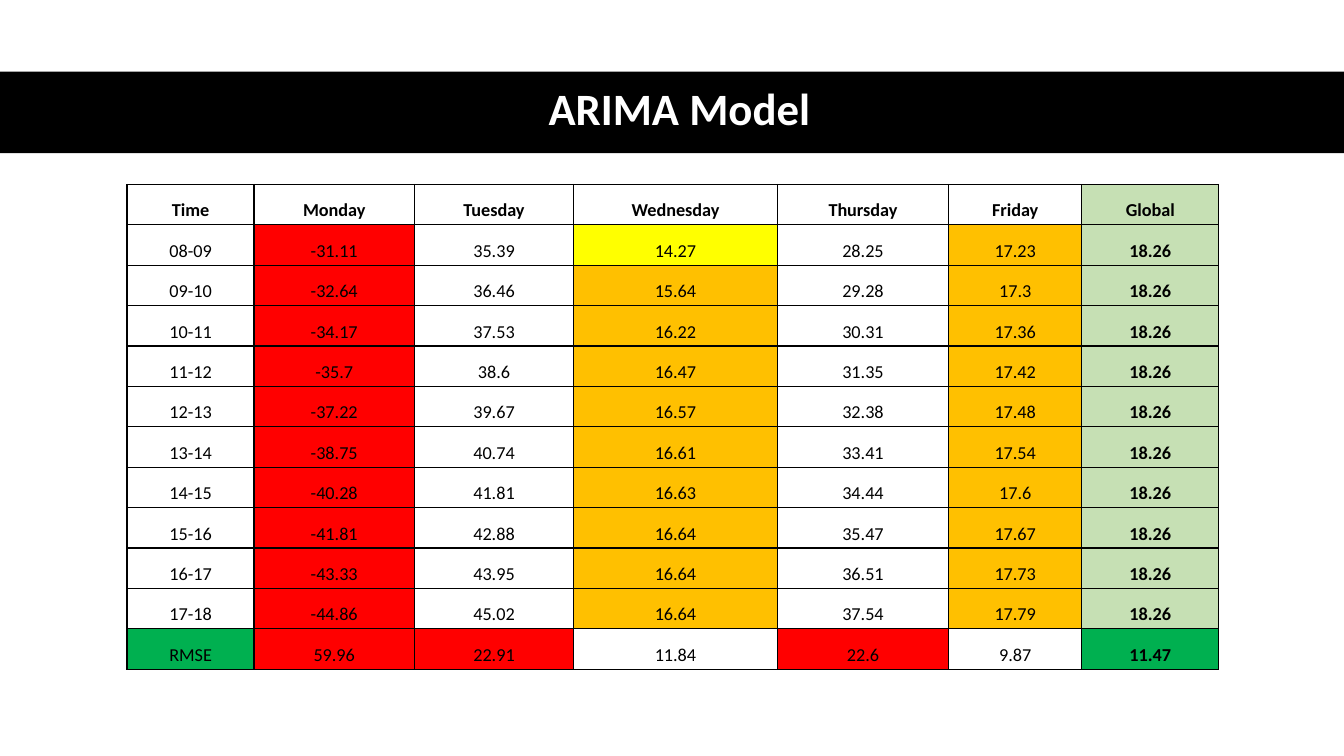
from lxml import etree
from pptx import Presentation
from pptx.dml.color import RGBColor
from pptx.enum.shapes import MSO_SHAPE
from pptx.enum.text import MSO_ANCHOR, PP_ALIGN
from pptx.oxml.ns import qn
from pptx.util import Inches, Pt

RECTANGLE = MSO_SHAPE.RECTANGLE
MIDDLE = MSO_ANCHOR.MIDDLE
CENTER = PP_ALIGN.CENTER

BLACK = RGBColor(0x00, 0x00, 0x00)
WHITE = RGBColor(0xFF, 0xFF, 0xFF)
RED = RGBColor(0xFF, 0x00, 0x00)
YELLOW = RGBColor(0xFF, 0xFF, 0x00)
AMBER = RGBColor(0xFF, 0xC0, 0x00)
GREEN = RGBColor(0x00, 0xB0, 0x50)
PALE_GREEN = RGBColor(0xC6, 0xE0, 0xB4)

TITLE_ONLY = 5
COLUMN_WIDTHS = [1.26, 1.59, 1.58, 2.02, 1.7, 1.32, 1.36]
FORECASTS = [
    ["Time", "Monday", "Tuesday", "Wednesday", "Thursday", "Friday", "Global"],
    ["08-09", "-31.11", "35.39", "14.27", "28.25", "17.23", "18.26"],
    ["09-10", "-32.64", "36.46", "15.64", "29.28", "17.3", "18.26"],
    ["10-11", "-34.17", "37.53", "16.22", "30.31", "17.36", "18.26"],
    ["11-12", "-35.7", "38.6", "16.47", "31.35", "17.42", "18.26"],
    ["12-13", "-37.22", "39.67", "16.57", "32.38", "17.48", "18.26"],
    ["13-14", "-38.75", "40.74", "16.61", "33.41", "17.54", "18.26"],
    ["14-15", "-40.28", "41.81", "16.63", "34.44", "17.6", "18.26"],
    ["15-16", "-41.81", "42.88", "16.64", "35.47", "17.67", "18.26"],
    ["16-17", "-43.33", "43.95", "16.64", "36.51", "17.73", "18.26"],
    ["17-18", "-44.86", "45.02", "16.64", "37.54", "17.79", "18.26"],
    ["RMSE", "59.96", "22.91", "11.84", "22.6", "9.87", "11.47"],
]
HEADER_FILLS = [None] * 6 + [PALE_GREEN]
FIRST_HOUR_FILLS = [None, RED, None, YELLOW, None, AMBER, PALE_GREEN]
HOUR_FILLS = [None, RED, None, AMBER, None, AMBER, PALE_GREEN]
RMSE_FILLS = [GREEN, RED, RED, None, RED, None, GREEN]
ROW_FILLS = [HEADER_FILLS, FIRST_HOUR_FILLS] + [HOUR_FILLS] * 9 + [RMSE_FILLS]


class SlideBuilder:
    """Draws styled elements on the current slide."""

    def __init__(self, page, font="Calibri"):
        self.page = page
        self.font = font

    def style(self, paragraph, size, color, bold, spacing):
        paragraph.alignment = CENTER
        paragraph.line_spacing = spacing
        paragraph.font.name = self.font
        paragraph.font.size = Pt(size)
        paragraph.font.bold = bold
        paragraph.font.color.rgb = color

    def band(self, left, top, width, height, color):
        band = self.page.shapes.add_shape(
            RECTANGLE, Inches(left), Inches(top), Inches(width), Inches(height))
        band.shadow.inherit = False
        band.fill.solid()
        band.fill.fore_color.rgb = color
        band.line.fill.background()
        self.page.shapes.title._element.addprevious(band._element)

    def title(self, text, left, top, width, height):
        title = self.page.shapes.title
        title.left, title.top = Inches(left), Inches(top)
        title.width, title.height = Inches(width), Inches(height)
        title.text_frame.text = text
        title.text_frame.vertical_anchor = MIDDLE
        self.style(title.text_frame.paragraphs[0], 32, WHITE, True, 0.9)

    def borders(self, cell, color, width):
        properties = cell._tc.get_or_add_tcPr()
        for position, side in enumerate(("a:lnL", "a:lnR", "a:lnT", "a:lnB")):
            line = etree.Element(qn(side), w=str(Pt(width)))
            fill = etree.SubElement(line, qn("a:solidFill"))
            etree.SubElement(fill, qn("a:srgbClr"), val=str(color))
            properties.insert(position, line)

    def cell(self, cell, text, fill, bold):
        cell.text = text
        cell.vertical_anchor = MIDDLE
        cell.margin_left = cell.margin_right = Inches(0.09)
        cell.margin_top, cell.margin_bottom = Inches(0.01), 0
        if fill is None:
            cell.fill.background()
        else:
            cell.fill.solid()
            cell.fill.fore_color.rgb = fill
        self.style(cell.text_frame.paragraphs[0], 13, BLACK, bold, 1.5)
        self.borders(cell, BLACK, 1)

    def table(self, rows, fills, widths, left, top, height):
        table = self.page.shapes.add_table(
            len(rows), len(widths), Inches(left), Inches(top),
            Inches(sum(widths)), Inches(height)).table
        table.horz_banding = False
        for column, width in zip(table.columns, widths):
            column.width = Inches(width)
        last = len(widths) - 1
        for i, (texts, colors) in enumerate(zip(rows, fills)):
            for j, (text, color) in enumerate(zip(texts, colors)):
                self.cell(table.cell(i, j), text, color, i == 0 or j == last)


def main():
    deck = Presentation()
    deck.slide_width, deck.slide_height = Inches(13.33), Inches(7.5)
    builder = SlideBuilder(deck.slides.add_slide(deck.slide_layouts[TITLE_ONLY]))
    builder.band(0, 0.71, 13.33, 0.81, BLACK)
    builder.title("ARIMA Model", 0.61, 0.7, 12.26, 0.81)
    builder.table(FORECASTS, ROW_FILLS, COLUMN_WIDTHS, 1.26, 1.83, 4.81)
    deck.save("out.pptx")


if __name__ == "__main__":
    main()
